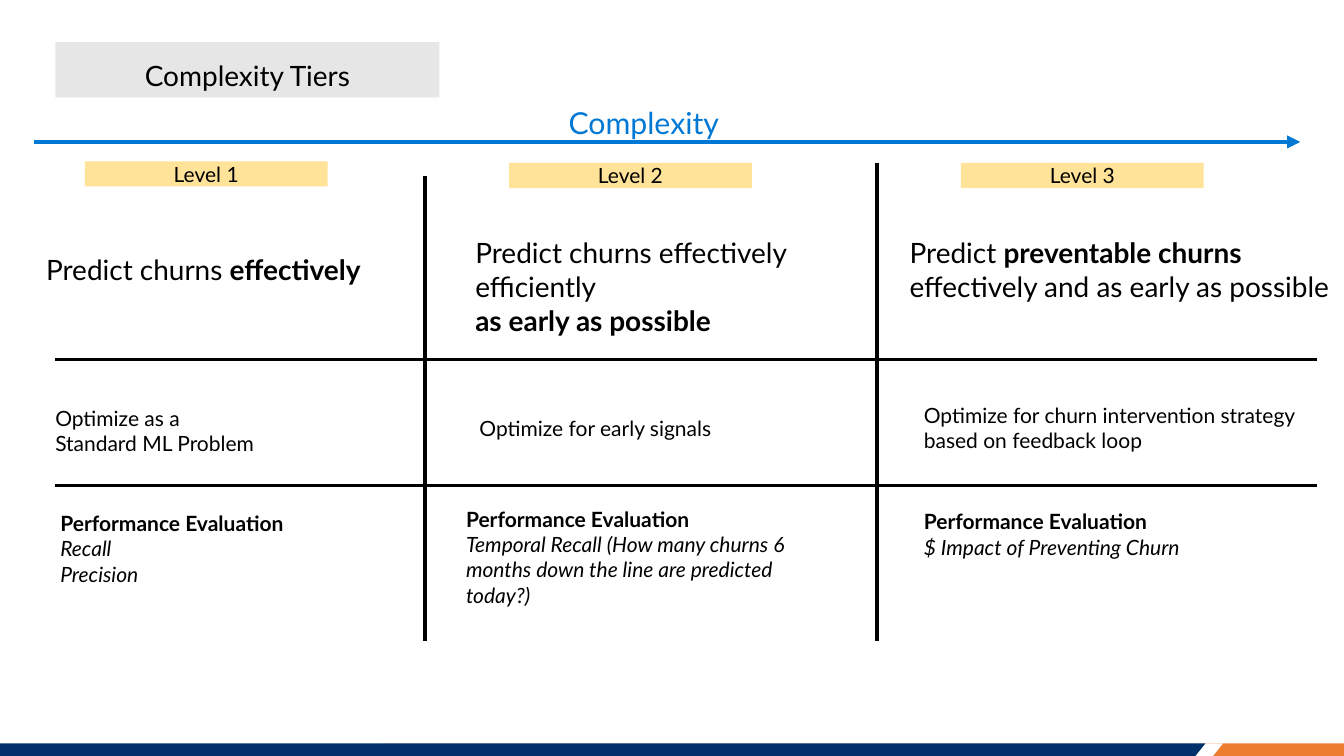
from dataclasses import dataclass

from lxml import etree
from pptx import Presentation
from pptx.dml.color import RGBColor
from pptx.enum.shapes import MSO_CONNECTOR, MSO_SHAPE
from pptx.enum.text import MSO_ANCHOR, MSO_AUTO_SIZE, PP_ALIGN
from pptx.oxml.ns import qn
from pptx.util import Inches, Pt

STRAIGHT = MSO_CONNECTOR.STRAIGHT
RECT = MSO_SHAPE.RECTANGLE
CENTER = PP_ALIGN.CENTER
TOP, MIDDLE, BOTTOM = MSO_ANCHOR.TOP, MSO_ANCHOR.MIDDLE, MSO_ANCHOR.BOTTOM
FIXED = MSO_AUTO_SIZE.NONE


@dataclass(frozen=True)
class Theme:
    """Colours, font and type sizes of the slide."""
    font: str = "Lato"
    ink: str = "000000"
    blue: str = "0078D4"
    gray: str = "E6E6E6"
    gold: str = "FFE399"
    navy: str = "00316B"
    orange: str = "ED7D31"
    white: str = "FFFFFF"
    axis: float = 25.9
    head: float = 24
    body: float = 18
    rule: float = 2.75
    arrow: float = 3.75


class Deck:
    """Draws styled elements on the current slide."""

    def __init__(self, theme, slide):
        self.theme = theme
        self.slide = slide
        self.shapes = slide.shapes

    def paint(self, shape, color):
        shape.fill.solid()
        shape.fill.fore_color.rgb = RGBColor.from_string(color)

    def label(self, shape, paras, size, color=None, align=None, anchor=TOP,
              inset=(0.1, 0.05)):
        frame = shape.text_frame
        frame.word_wrap = True
        frame.auto_size = FIXED
        frame.vertical_anchor = anchor
        frame.margin_left = frame.margin_right = Inches(inset[0])
        frame.margin_top = frame.margin_bottom = Inches(inset[1])
        for i, runs in enumerate(paras):
            para = frame.add_paragraph() if i else frame.paragraphs[0]
            para.alignment = align
            font = para.font
            font.name = self.theme.font
            font.size = Pt(size)
            font.color.rgb = RGBColor.from_string(color or self.theme.ink)
            for text, style in runs:
                run = para.add_run()
                run.text = text
                part = font if len(runs) == 1 else run.font
                part.bold = style == "b"
                part.italic = style == "i"

    def title(self, box, text):
        shape = self.shapes.title
        shape.left, shape.top, shape.width, shape.height = map(Inches, box)
        self.paint(shape, self.theme.gray)
        self.label(shape, [[(text, "")]], self.theme.head, align=CENTER,
                   anchor=BOTTOM, inset=(0.12, 0.06))
        shape.text_frame.paragraphs[0].line_spacing = 0.9

    def text(self, box, paras, size, color=None):
        shape = self.shapes.add_textbox(*map(Inches, box))
        self.label(shape, paras, size, color)

    def badge(self, box, text):
        shape = self.shapes.add_shape(RECT, *map(Inches, box))
        shape.shadow.inherit = False
        shape.line.fill.background()
        self.paint(shape, self.theme.gold)
        self.label(shape, [[(text, "")]], self.theme.body, align=CENTER,
                   anchor=MIDDLE, inset=(0, 0))

    def line(self, ends, color, width, arrow=False):
        rule = self.shapes.add_connector(STRAIGHT, *map(Inches, ends))
        rule.line.color.rgb = RGBColor.from_string(color)
        rule.line.width = Pt(width)
        props = rule._element.spPr
        if arrow:
            tail = etree.SubElement(props.find(qn("a:ln")), qn("a:tailEnd"))
            tail.set("type", "triangle")
        etree.SubElement(props, qn("a:effectLst"))

    def strip(self, points, color):
        spots = [(Inches(x), Inches(y)) for x, y in points]
        pen = self.shapes.build_freeform(*spots[0])
        pen.add_line_segments(spots[1:], close=True)
        shape = pen.convert_to_shape()
        shape.shadow.inherit = False
        shape.line.fill.background()
        self.paint(shape, color)


def main():
    """Build the complexity slide and save it."""
    show = Presentation()
    show.slide_width, show.slide_height = Inches(16), Inches(9)
    theme = Theme()
    deck = Deck(theme, show.slides.add_slide(show.slide_layouts[5]))

    high, low = 8.85, 9
    deck.strip([(4.39, low), (4.57, high), (16, high), (16, low)], theme.orange)
    for edge, color in ((14.56, theme.white), (14.35, theme.navy)):
        deck.strip([(0, high), (0, low), (edge - 0.12, low), (edge, high)], color)

    for x, y in ((5.06, 2.1), (10.44, 1.94)):
        deck.line((x, y, x, 7.63), theme.ink, theme.rule)
    for y in (4.28, 5.78):
        deck.line((0.66, y, 15.68, y), theme.ink, theme.rule)
    deck.line((0.4, 1.69, 15.48, 1.69), theme.blue, theme.arrow, arrow=True)
    deck.text((6.67, 1.19, 2.05, 0.54), [[("Complexity", "")]], theme.axis,
              theme.blue)
    deck.title((0.66, 0.5, 4.57, 0.66), "Complexity Tiers")

    levels = [
        ((1.01, 1.92),
         (0.45, 2.96, 4.47, 0.5),
         [[("Predict churns ", ""), ("effectively", "b")]],
         (0.56, 4.78, 3.8, 0.71),
         ["Optimize as a", "Standard ML Problem"],
         (0.62, 6.03, 3.44, 1.01),
         ["Recall", "Precision"]),
        ((6.06, 1.94),
         (5.56, 2.76, 4.89, 1.31),
         [[("Predict churns effectively efficiently", "")],
          [("as early as possible", "b")]],
         (5.61, 4.9, 3.8, 0.4),
         ["Optimize for early signals"],
         (5.45, 5.98, 4.26, 1.31),
         ["Temporal Recall (How many churns 6 months down the line "
          "are predicted today?)"]),
        ((11.44, 1.94),
         (10.73, 2.76, 5.28, 0.91),
         [[("Predict ", ""), ("preventable churns ", "b"),
           ("effectively and as early as possible", "")]],
         (10.9, 4.74, 4.78, 0.71),
         ["Optimize for churn intervention strategy based on feedback loop"],
         (10.9, 6.01, 4.92, 0.71),
         ["$ Impact of Preventing Churn"]),
    ]
    for i, (spot, top, goal, mid, plan, base, tests) in enumerate(levels, 1):
        deck.badge((*spot, 2.89, 0.3), f"Level {i}")
        deck.text(top, goal, theme.head)
        deck.text(mid, [[(item, "")] for item in plan], theme.body)
        deck.text(base, [[("Performance Evaluation", "b")],
                         *([(item, "i")] for item in tests)], theme.body)

    show.save("out.pptx")


if __name__ == "__main__":
    main()
